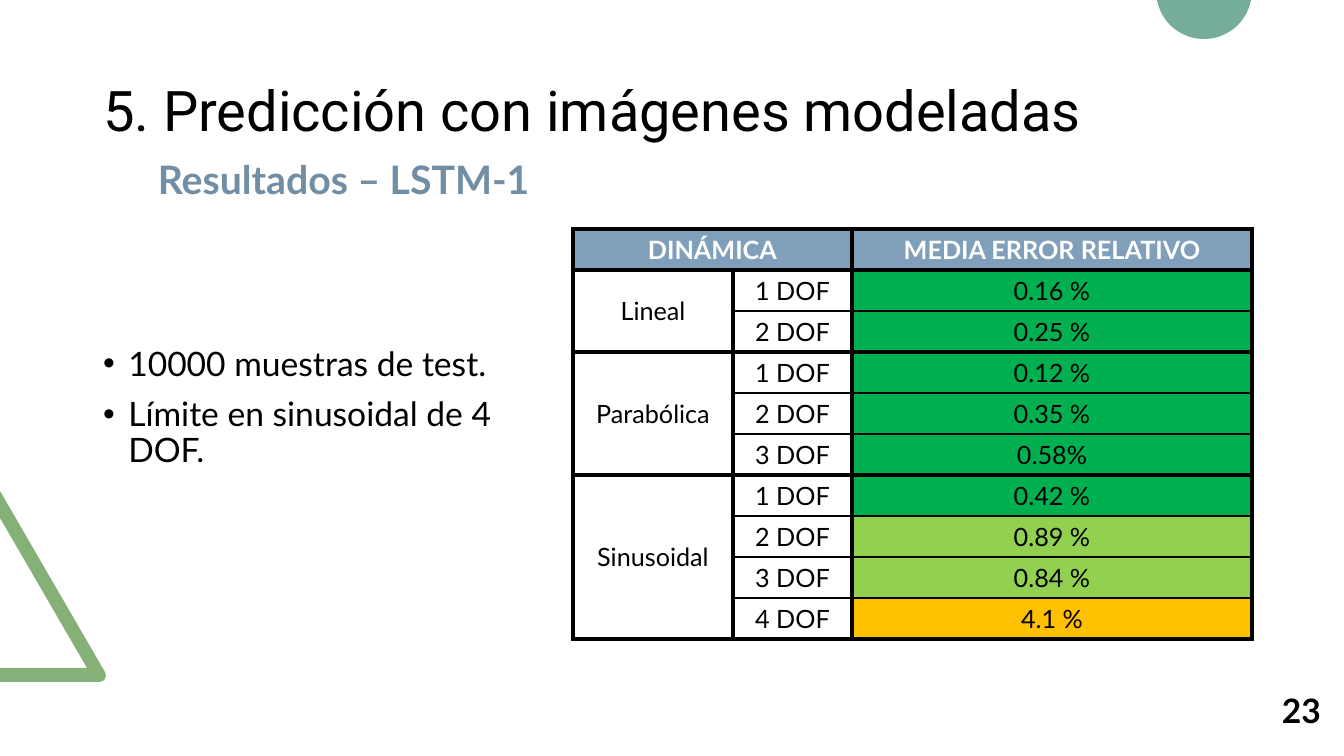
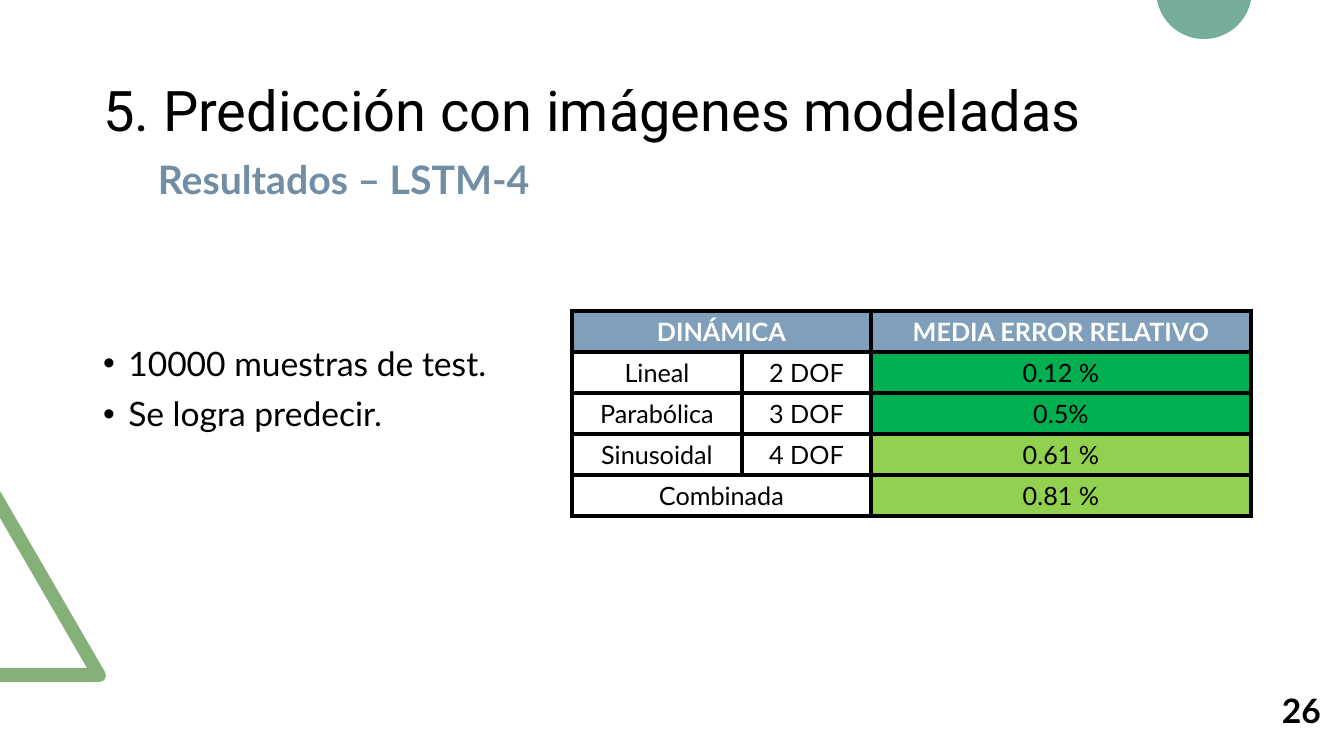
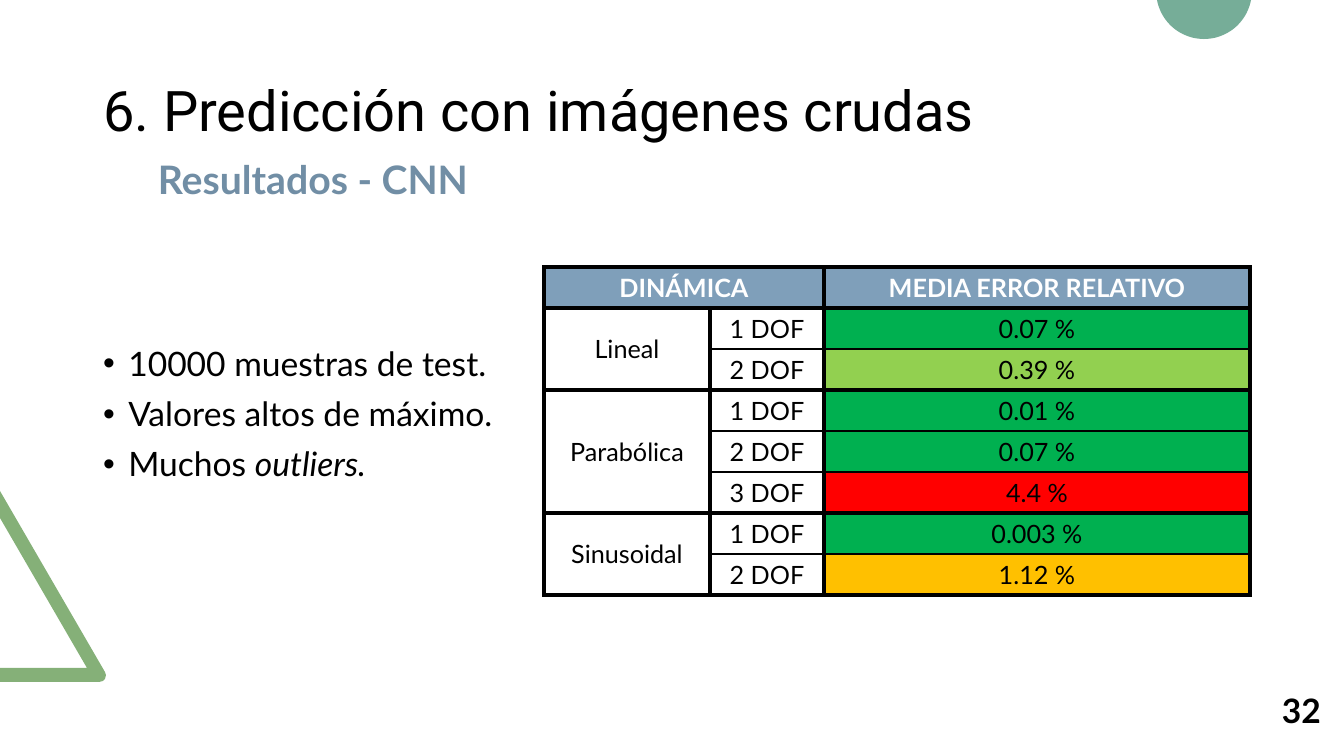
import math
from dataclasses import dataclass

from lxml import etree
from pptx import Presentation
from pptx import util as u
from pptx.dml import color as colors
from pptx.enum import text
from pptx.oxml import ns

PX_PER_INCH = 100.8


@dataclass(frozen=True)
class Theme:
    heading_font: str = "Roboto"
    body_font: str = "Lato"
    title_size: int = 40
    subtitle_size: int = 28
    body_size: int = 24
    table_size: int = 18
    black: str = "000000"
    white: str = "FFFFFF"
    subtitle: str = "718EA5"
    header: str = "7F9FBA"
    triangle: str = "85B078"
    circle: str = "76AD98"
    great: str = "00B050"
    good: str = "92D050"
    fair: str = "FFC000"
    poor: str = "FF0000"
    thick: int = 3
    thin: int = 1


THEME = Theme()
TITLE_BOX = (93, 40, 1159, 146)
SUBTITLE_BOX = (148, 150, 630, 57)
NUMBER_BOX = (1269, 685, 65, 50)
BULLETS_BOX = (93, 342, 422, 146)
ROW_HEIGHT = 41

SLIDES = [
    dict(
        title="5. Predicción con imágenes modeladas",
        subtitle="Resultados – LSTM-1",
        number="23",
        bullets=[("10000 muestras de test.",), ("Límite en sinusoidal de 4 DOF.",)],
        bullets_box=BULLETS_BOX,
        table_origin=(573, 229),
        columns=(160, 119, 400),
        groups=[
            ("Lineal", [("1 DOF", "0.16 %", THEME.great), ("2 DOF", "0.25 %", THEME.great)]),
            ("Parabólica", [("1 DOF", "0.12 %", THEME.great), ("2 DOF", "0.35 %", THEME.great),
                            ("3 DOF", "0.58%", THEME.great)]),
            ("Sinusoidal", [("1 DOF", "0.42 %", THEME.great), ("2 DOF", "0.89 %", THEME.good),
                            ("3 DOF", "0.84 %", THEME.good), ("4 DOF", "4.1 %", THEME.fair)]),
        ],
    ),
    dict(
        title="5. Predicción con imágenes modeladas",
        subtitle="Resultados – LSTM-4",
        number="26",
        bullets=[("10000 muestras de test.",), ("Se logra predecir.",)],
        bullets_box=BULLETS_BOX,
        table_origin=(572, 311),
        columns=(170, 129, 380),
        groups=[
            ("Lineal", [("2 DOF", "0.12 %", THEME.great)]),
            ("Parabólica", [("3 DOF", "0.5%", THEME.great)]),
            ("Sinusoidal", [("4 DOF", "0.61 %", THEME.good)]),
            ("Combinada", [(None, "0.81 %", THEME.good)]),
        ],
    ),
    dict(
        title="6. Predicción con imágenes crudas",
        subtitle="Resultados - CNN",
        number="32",
        bullets=[("10000 muestras de test.",), ("Valores altos de máximo.",), ("Muchos ", "outliers.")],
        bullets_box=(93, 342, 438, 184),
        table_origin=(544, 267),
        columns=(166, 114, 426),
        groups=[
            ("Lineal", [("1 DOF", "0.07 %", THEME.great), ("2 DOF", "0.39 %", THEME.good)]),
            ("Parabólica", [("1 DOF", "0.01 %", THEME.great), ("2 DOF", "0.07 %", THEME.great),
                            ("3 DOF", "4.4 %", THEME.poor)]),
            ("Sinusoidal", [("1 DOF", "0.003 %", THEME.great), ("2 DOF", "1.12 %", THEME.fair)]),
        ],
    ),
]


def px(length):
    return u.Inches(length / PX_PER_INCH)


def rgb(value):
    return colors.RGBColor.from_string(value)


def style(paragraph, size, color=THEME.black, bold=False, font=THEME.body_font, align=text.PP_ALIGN.LEFT):
    paragraph.alignment = align
    paragraph.font.name = font
    paragraph.font.size = u.Pt(size)
    paragraph.font.bold = bold
    paragraph.font.color.rgb = rgb(color)


def place(shape, box):
    shape.left, shape.top, shape.width, shape.height = map(px, box)


def add_outline(slide, points, color):
    corners = [(px(x), px(y)) for x, y in points]
    builder = slide.shapes.build_freeform(*corners[0])
    builder.add_line_segments(corners[1:])
    shape = builder.convert_to_shape()
    shape.shadow.inherit = False
    shape.fill.solid()
    shape.fill.fore_color.rgb = rgb(color)
    shape.line.fill.background()
    return shape


def add_triangle(slide, box):
    left, top, width, height = box
    points = [(0, 191), (0, 177), (87, 177), (0, 27), (0, 0), (width - 1, 181),
              (width, 184), (width - 1, 188), (width - 3, 190), (width - 7, height)]
    return add_outline(slide, [(left + x, top + y) for x, y in points], THEME.triangle)


def add_half_circle(slide, box):
    left, top, width, height = box
    radius = (width ** 2 / 4 + height ** 2) / (2 * height)
    start = math.asin((radius - height) / radius)
    angles = [start + (math.pi - 2 * start) * step / 48 for step in range(49)]
    points = [(left + width / 2 + radius * math.cos(angle), top + height - radius + radius * math.sin(angle))
              for angle in angles]
    return add_outline(slide, points, THEME.circle)


def decorate_layout(layout, slide):
    decorations = [add_triangle(slide, (0, 491, 106, 191)), add_half_circle(slide, (1157, 0, 94, 39))]
    for index, shape in enumerate(decorations):
        shape.element.nvSpPr.cNvPr.set("id", str(20 + index))
        layout.shapes.element.insert(2 + index, shape.element)


def add_title(slide, box, content):
    shape = slide.shapes.title
    place(shape, box)
    frame = shape.text_frame
    frame.text = content
    frame.auto_size = text.MSO_AUTO_SIZE.NONE
    frame.vertical_anchor = text.MSO_ANCHOR.MIDDLE
    frame.paragraphs[0].line_spacing = 0.9
    style(frame.paragraphs[0], THEME.title_size, font=THEME.heading_font)


def add_label(slide, box, content, wrap=True, **look):
    frame = slide.shapes.add_textbox(*map(px, box)).text_frame
    frame.word_wrap = wrap
    frame.text = content
    style(frame.paragraphs[0], bold=True, **look)


def add_bullets(slide, box, items):
    shape = slide.placeholders[1]
    place(shape, box)
    frame = shape.text_frame
    frame.auto_size = text.MSO_AUTO_SIZE.NONE
    frame.vertical_anchor = text.MSO_ANCHOR.TOP
    for index, runs in enumerate(items):
        paragraph = frame.paragraphs[0] if index == 0 else frame.add_paragraph()
        properties = paragraph._p.get_or_add_pPr()
        properties.set("marL", str(u.Inches(0.25)))
        properties.set("indent", str(-u.Inches(0.25)))
        etree.SubElement(properties, ns.qn("a:buFont"), typeface="Arial")
        etree.SubElement(properties, ns.qn("a:buChar"), char="•")
        paragraph.line_spacing = 0.9
        paragraph.space_before = u.Pt(10 if index else 0)
        for position, words in enumerate(runs):
            run = paragraph.add_run()
            run.text = words
            if position:
                run.font.italic = True
        style(paragraph, THEME.body_size)


def format_cell(cell, content, fill, top=THEME.thick, bottom=THEME.thick, color=THEME.black, bold=False):
    properties = cell._tc.get_or_add_tcPr()
    for side, width in (("L", THEME.thick), ("R", THEME.thick), ("T", top), ("B", bottom)):
        line = etree.SubElement(properties, ns.qn("a:ln" + side), w=str(u.Pt(width)))
        solid = etree.SubElement(line, ns.qn("a:solidFill"))
        etree.SubElement(solid, ns.qn("a:srgbClr"), val=THEME.black)
    cell.fill.solid()
    cell.fill.fore_color.rgb = rgb(fill)
    cell.vertical_anchor = text.MSO_ANCHOR.MIDDLE
    if content:
        cell.text = content
    style(cell.text_frame.paragraphs[0], THEME.table_size, color, bold, align=text.PP_ALIGN.CENTER)


def add_error_table(slide, origin, columns, groups):
    row_count = 1 + sum(len(rows) for _, rows in groups)
    box = (*origin, sum(columns), row_count * ROW_HEIGHT)
    table = slide.shapes.add_table(row_count, len(columns), *map(px, box)).table
    table.horz_banding = False
    for column, width in zip(table.columns, columns):
        column.width = px(width)
    for row in table.rows:
        row.height = px(ROW_HEIGHT)
    for index, heading in enumerate(("DINÁMICA", None, "MEDIA ERROR RELATIVO")):
        format_cell(table.cell(0, index), heading, THEME.header, color=THEME.white, bold=True)
    table.cell(0, 0).merge(table.cell(0, 1))
    first = 1
    for name, rows in groups:
        last = first + len(rows) - 1
        for index, (freedom, error, rating) in enumerate(rows, first):
            top = THEME.thick if index == first else THEME.thin
            bottom = THEME.thick if index == last else THEME.thin
            format_cell(table.cell(index, 0), name if index == first else None, THEME.white)
            format_cell(table.cell(index, 1), freedom, THEME.white, top, bottom)
            format_cell(table.cell(index, 2), error, rating, top, bottom)
        merged_column = 0 if rows[0][0] else 1
        if last > first or merged_column:
            table.cell(first, 0).merge(table.cell(last, merged_column))
        first = last + 1


def add_results_slide(slide, content):
    add_title(slide, TITLE_BOX, content["title"])
    add_label(slide, NUMBER_BOX, content["number"], wrap=False, size=THEME.body_size,
              align=text.PP_ALIGN.CENTER)
    add_label(slide, SUBTITLE_BOX, content["subtitle"], size=THEME.subtitle_size, color=THEME.subtitle)
    add_error_table(slide, content["table_origin"], content["columns"], content["groups"])
    add_bullets(slide, content["bullets_box"], content["bullets"])


def main():
    presentation = Presentation()
    presentation.slide_width, presentation.slide_height = px(1344), px(756)
    layout = presentation.slide_layouts[1]
    slides = [presentation.slides.add_slide(layout) for _ in SLIDES]
    decorate_layout(layout, slides[0])
    for slide, content in zip(slides, SLIDES):
        add_results_slide(slide, content)
    presentation.save("out.pptx")


if __name__ == "__main__":
    main()
